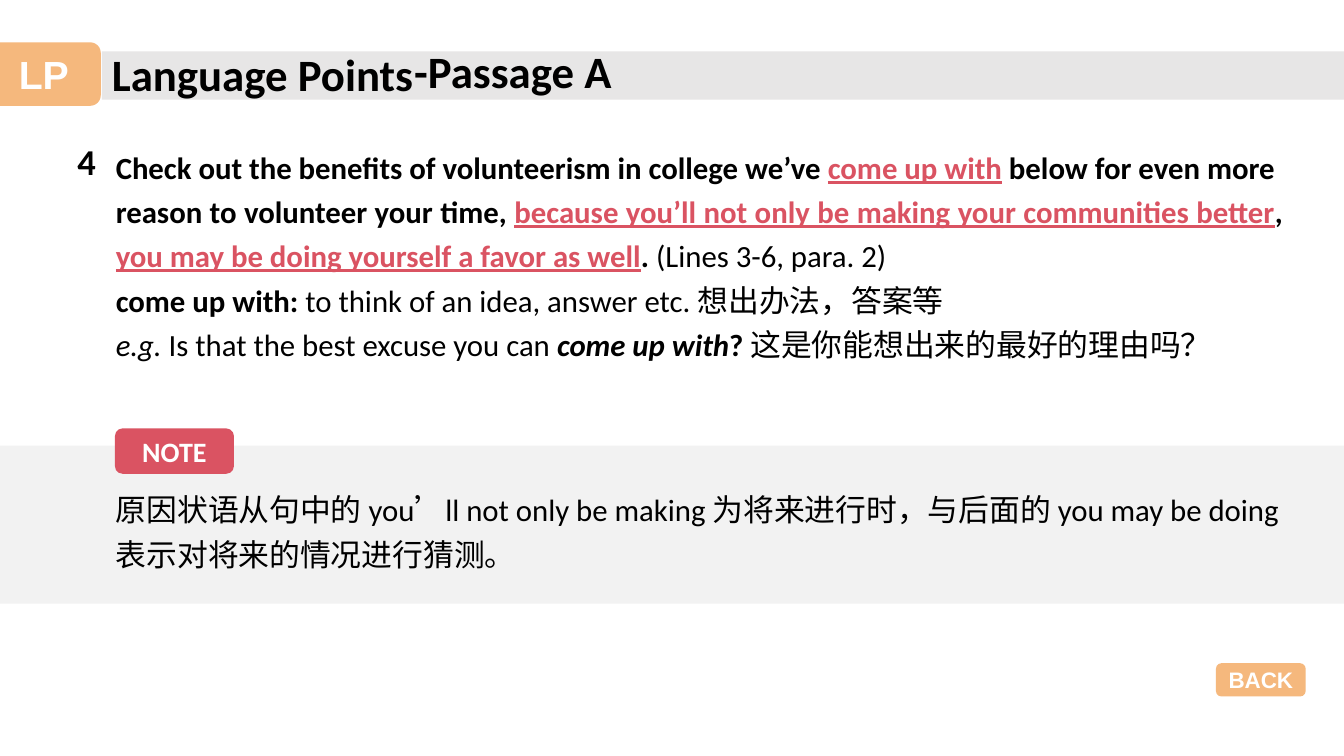
from dataclasses import dataclass

from lxml import etree
from pptx import Presentation
from pptx.dml.color import RGBColor
from pptx.enum import shapes, text
from pptx.oxml import ns
from pptx.util import Inches


@dataclass(frozen=True)
class Theme:
    band: str = "E7E6E6"
    panel: str = "F2F2F2"
    orange: str = "F19B48"
    rose: str = "DA5362"
    ink: str = "000000"
    white: str = "FFFFFF"
    latin: str = "Calibri"
    label: str = "Arial"
    chinese: str = "Noto Sans CJK SC"
    title: int = 32
    badge: int = 28
    number: int = 26
    body: int = 22
    note: int = 20
    button: int = 16


THEME = Theme()
ALIGN = text.PP_ALIGN

# Each line is a list of (words, style): b bold, i italic, k key phrase
SENTENCE = [
    [("Check out the benefits of volunteerism in college we’ve ", "b"),
     ("come up with", "bk"), (" below for even more ", "b")],
    [("reason to volunteer your time, ", "b"),
     ("because you’ll not only be making your communities better", "bk"),
     (", ", "b"), ("you may be doing yourself a favor as well", "bk"),
     (". ", "b"), ("(Lines 3-6, para. 2)", "")],
    [("come up with: ", "b"), ("to think of an idea, answer etc. ", ""),
     ("想出办法，答案等 ", "")],
    [("e.g. ", "i"), ("Is that the best excuse you can ", ""),
     ("come up with", "bi"), ("? ", "b"), ("这是你能想出来的最好的理由吗？", "")],
]
NOTE = [[("原因状语从句中的 you’ll not only be making 为将来进行时，与后面的 "
          "you may be doing 表示对将来的情况进行猜测。", "")]]


def rgb(color):
    return RGBColor.from_string(color)


def style(para, size, color=THEME.ink, bold=None, name=THEME.latin):
    font = para.font
    font.size, font.bold, font.name = Inches(size / 72), bold, name
    font.color.rgb = rgb(color)
    defaults = para._p.pPr.find(ns.qn("a:defRPr"))
    latin = defaults.find(ns.qn("a:latin"))
    east = etree.Element(ns.qn("a:ea"), typeface=THEME.chinese)
    latin.addnext(east)


def add_block(page, kind, box, color, alpha=None):
    block = page.shapes.add_shape(kind, *map(Inches, box))
    block.shadow.inherit = False
    block.fill.solid()
    block.fill.fore_color.rgb = rgb(color)
    block.line.fill.background()
    if alpha:
        fill = block.element.spPr.find(ns.qn("a:solidFill"))
        etree.SubElement(fill[0], ns.qn("a:alpha"), val=str(alpha * 1000))
    return block


def add_tag(page, box, words, size, color, name, alpha=None):
    tag = add_block(page, shapes.MSO_SHAPE.ROUNDED_RECTANGLE, box, color, alpha)
    frame = tag.text_frame
    frame.margin_left = frame.margin_right = 0
    frame.vertical_anchor = text.MSO_ANCHOR.MIDDLE
    para = frame.paragraphs[0]
    para.text, para.alignment = words, ALIGN.CENTER
    style(para, size, THEME.white, True, name)


def add_label(page, box, words, size):
    label = page.shapes.add_textbox(*map(Inches, box))
    label.text_frame.word_wrap = True
    para = label.text_frame.paragraphs[0]
    para.text = words
    style(para, size, bold=True)


def add_passage(page, box, lines, alignment):
    frame = page.shapes.add_textbox(*map(Inches, box)).text_frame
    frame.word_wrap = True
    for index, line in enumerate(lines):
        para = frame.add_paragraph() if index else frame.paragraphs[0]
        para.alignment, para.line_spacing = alignment, 1.2
        style(para, THEME.body)
        for words, marks in line:
            span = para.add_run()
            span.text = words
            if "b" in marks:
                span.font.bold = True
            if "i" in marks:
                span.font.italic = True
            if "k" in marks:
                span.font.underline = True
                span.font.color.rgb = rgb(THEME.rose)


def add_header(page, left, top, width, height):
    # Grey band with the title in front of it
    band = add_block(page, shapes.MSO_SHAPE.RECTANGLE,
                     (left, top, width, height), THEME.band)
    title = page.shapes.title
    title.left, title.top = Inches(left), Inches(top - 0.1)
    title.width, title.height = Inches(4.85), Inches(0.64)
    band.element.addnext(title.element)
    frame = title.text_frame
    frame.auto_size = text.MSO_AUTO_SIZE.NONE
    frame.vertical_anchor = text.MSO_ANCHOR.TOP
    para = frame.paragraphs[0]
    para.text, para.alignment = "Language Points", ALIGN.LEFT
    style(para, THEME.title, bold=True)
    add_label(page, (left + 3, top - 0.13, 2.53, 0.64), "-Passage A", THEME.title)
    # Badge running off the left edge
    add_tag(page, (left - 1.14, top - 0.09, 1.13, 0.63), "LP",
            THEME.badge, THEME.orange, THEME.label, 71)


def add_point(page, left, top, width, height):
    add_label(page, (left, top, 0.47, 0.54), "4", THEME.number)
    add_passage(page, (left + 0.38, top + 0.02, width - 0.38, height),
                SENTENCE, ALIGN.JUSTIFY)


def add_note(page, left, top, width, height):
    add_block(page, shapes.MSO_SHAPE.RECTANGLE,
              (left, top, width, height), THEME.panel)
    add_passage(page, (left + 1.05, top + 0.33, 11.84, 0.95), NOTE, ALIGN.LEFT)
    add_tag(page, (left + 1.14, top - 0.17, 1.18, 0.45), "NOTE",
            THEME.note, THEME.rose, THEME.latin)


def main():
    deck = Presentation()
    deck.slide_width, deck.slide_height = Inches(13.33), Inches(7.5)
    page = deck.slides.add_slide(deck.slide_layouts.get_by_name("Title Only"))
    add_header(page, 1.01, 0.51, 12.32, 0.48)
    add_point(page, 0.67, 1.33, 12.15, 2.36)
    add_note(page, 0, 4.42, 13.33, 1.57)
    # Button back to the contents
    add_tag(page, (12.06, 6.58, 0.89, 0.33), "BACK",
            THEME.button, THEME.orange, THEME.label, 71)
    deck.save("out.pptx")


if __name__ == "__main__":
    main()
